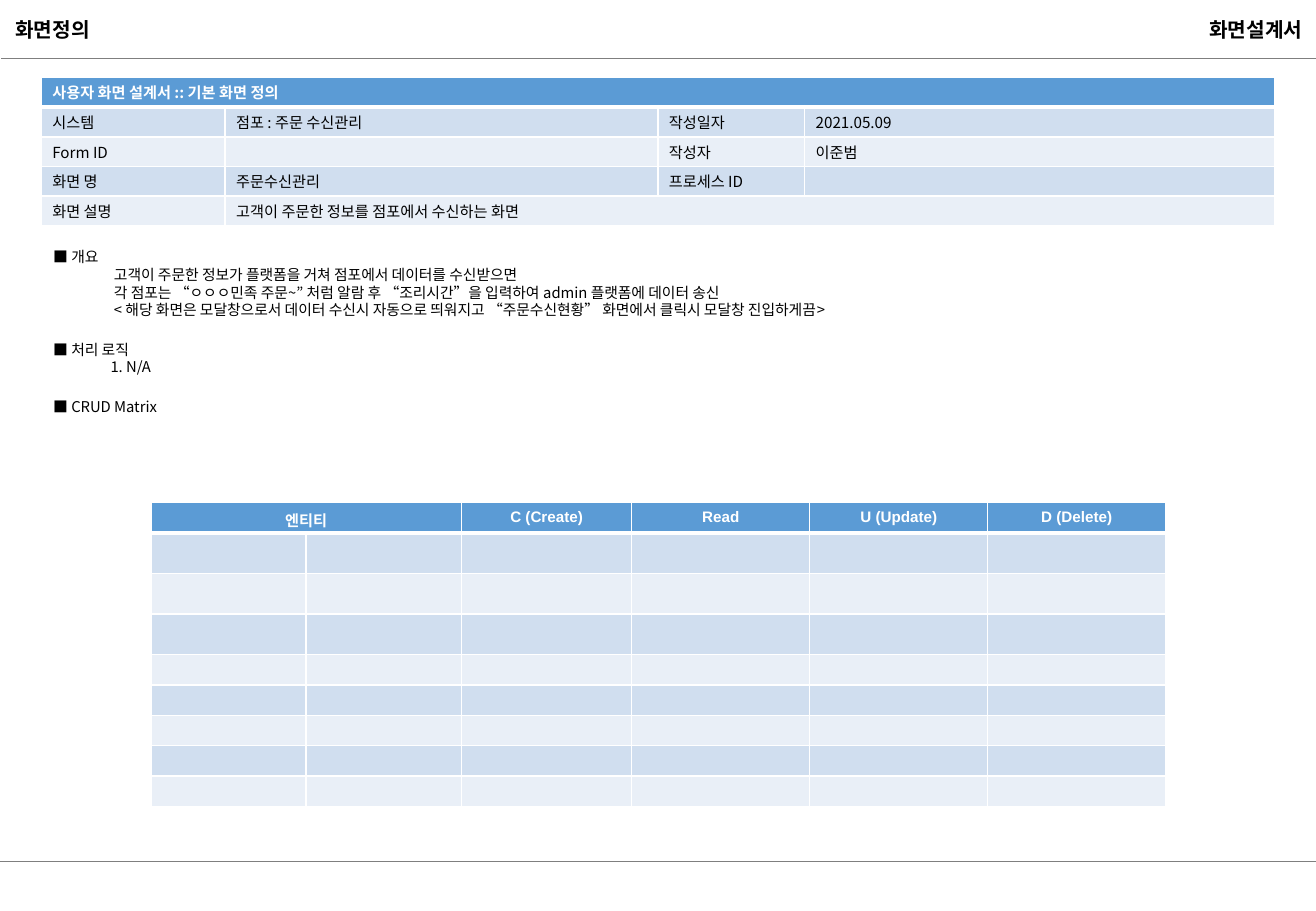
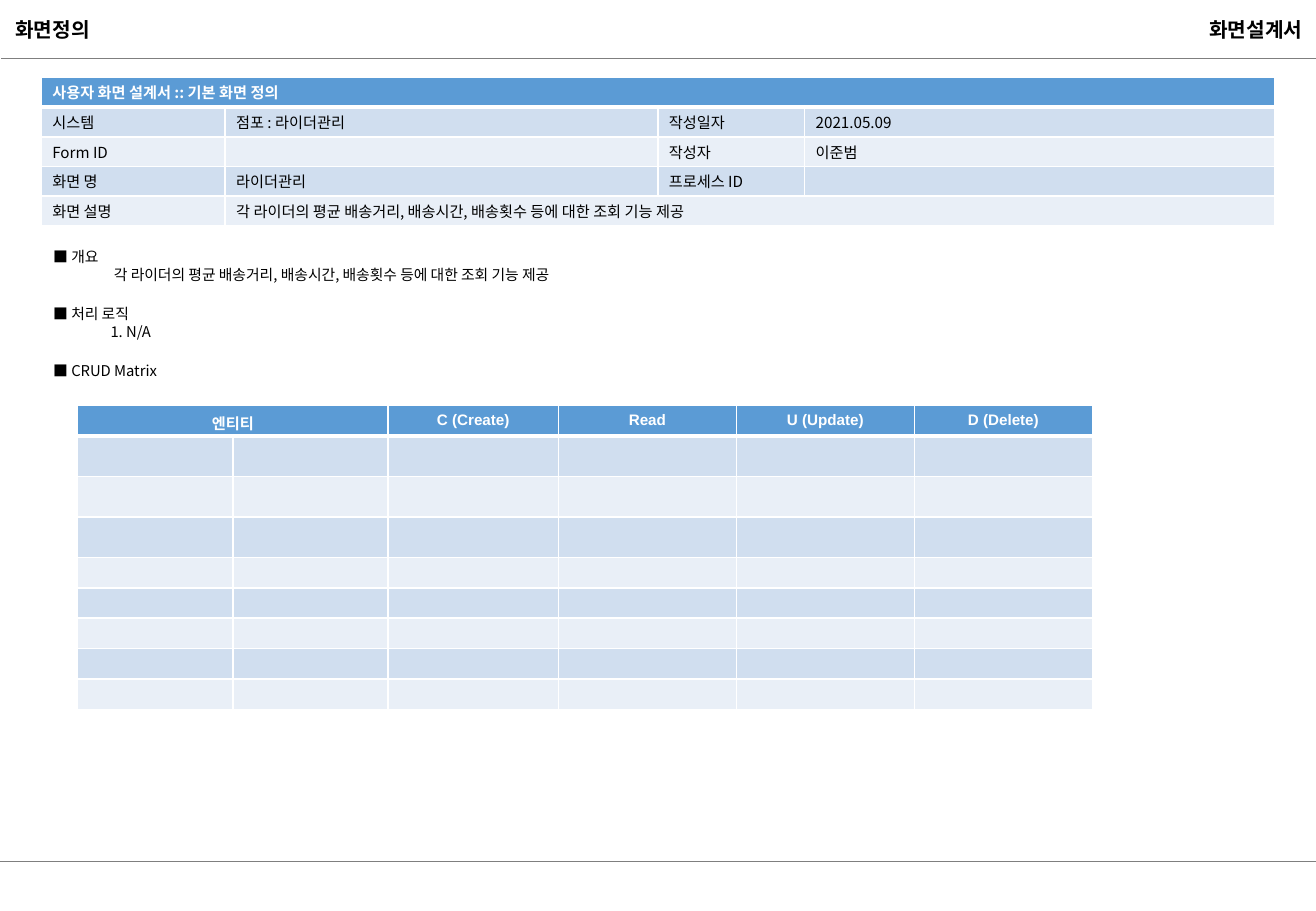
from dataclasses import dataclass
from typing import Optional

from lxml.etree import SubElement
from pptx import Presentation
from pptx.dml.color import RGBColor
from pptx.enum.shapes import MSO_CONNECTOR
from pptx.enum.text import MSO_ANCHOR, PP_ALIGN
from pptx.oxml.ns import qn
from pptx.util import Pt

# Shared look
SLIDE_W, SLIDE_H = 780, 540
BLACK = RGBColor(0x00, 0x00, 0x00)
WHITE = RGBColor(0xFF, 0xFF, 0xFF)
RULE_GRAY = RGBColor(0x7F, 0x7F, 0x7F)
HEADER_BLUE = RGBColor(0x5B, 0x9B, 0xD5)
BANDS = (RGBColor(0xD0, 0xDE, 0xEF), RGBColor(0xE9, 0xEF, 0xF7))
KOREAN, LATIN = "Noto Sans CJK KR", "Arial"

# Table grids
CONTENT_LEFT = 24.5
INFO_TOP, INFO_COLS, INFO_ROWS = 46, (109, 256.5, 87, 278.5), (17.57,) * 5
CRUD_COLS = (92, 92, 101) + (105.5,) * 3
CRUD_ROWS = (18,) + (24,) * 3 + (18,) * 5
CRUD_HEADER = ("엔티티", "", "C (Create)", "Read", "U (Update)", "D (Delete)")
BODY_SIZE, BODY_LINE = 8.8, 12.74


@dataclass(frozen=True)
class Line:
    text: str
    indent: float = 0
    gap: float = 0


@dataclass(frozen=True)
class Screen:
    system: str
    name: str
    description: str
    overview: tuple[str, ...]
    crud_left: float
    crud_top: float


@dataclass(frozen=True)
class TableStyle:
    font: str
    align: PP_ALIGN
    anchor: MSO_ANCHOR
    side: float
    top: float
    bottom: float


INFO_STYLE = TableStyle(KOREAN, PP_ALIGN.LEFT, MSO_ANCHOR.MIDDLE, 6.5, 2.2, 2.2)
CRUD_STYLE = TableStyle(LATIN, PP_ALIGN.CENTER, MSO_ANCHOR.TOP, 7.2, 3.6, 0)

RIDER_SUMMARY = "각 라이더의 평균 배송거리, 배송시간, 배송횟수 등에 대한 조회 기능 제공"
SCREENS = (
    Screen(
        "점포 : 주문 수신관리", "주문수신관리",
        "고객이 주문한 정보를 점포에서 수신하는 화면",
        (
            "고객이 주문한 정보가 플랫폼을 거쳐 점포에서 데이터를 수신받으면",
            "각 점포는 “ㅇㅇㅇ민족 주문~” 처럼 알람 후 “조리시간”을 입력하여 admin 플랫폼에 데이터 송신",
            "< 해당 화면은 모달창으로서 데이터 수신시 자동으로 띄워지고 “주문수신현황” 화면에서 클릭시 모달창 진입하게끔>",
        ),
        89.5, 298,
    ),
    Screen("점포 : 라이더관리", "라이더관리", RIDER_SUMMARY, (RIDER_SUMMARY,), 46, 240.5),
)


def write(paragraph, text: str, *, size: float, font: str = KOREAN,
          color: RGBColor = BLACK, bold: bool = False,
          align: PP_ALIGN = PP_ALIGN.LEFT, indent: float = 0, gap: float = 0) -> None:
    """Put one formatted run in a paragraph; empty text only fixes the line size."""
    paragraph.alignment = align
    if indent:
        paragraph._p.get_or_add_pPr().set("marL", str(Pt(indent)))
    if gap:
        paragraph.space_before = Pt(gap)
    if not text:
        SubElement(paragraph._p, qn("a:endParaRPr"), sz=str(round(size * 100)))
        return
    run = paragraph.add_run()
    run.text = text
    run.font.size, run.font.bold, run.font.name = Pt(size), bold, font
    run.font.color.rgb = color
    SubElement(run._r.get_or_add_rPr(), qn("a:ea"), typeface=KOREAN)


def add_box(slide, left: float, top: float, width: float, height: float):
    frame = slide.shapes.add_textbox(Pt(left), Pt(top), Pt(width), Pt(height)).text_frame
    frame.word_wrap = True
    return frame


def add_rule(slide, left: float, y: float) -> None:
    rule = slide.shapes.add_connector(
        MSO_CONNECTOR.STRAIGHT, Pt(left), Pt(y), Pt(SLIDE_W), Pt(y))
    rule.line.color.rgb, rule.line.width = RULE_GRAY, Pt(0.75)
    SubElement(rule._element.spPr, qn("a:effectLst"))


def add_border(cell, side: str, width: float) -> None:
    line = SubElement(cell._tc.get_or_add_tcPr(), qn(f"a:ln{side}"), w=str(Pt(width)))
    fill = SubElement(line, qn("a:solidFill"))
    SubElement(fill, qn("a:srgbClr"), val=str(WHITE))


def add_grid(slide, left: float, top: float, cols: tuple[float, ...],
             rows: tuple[float, ...], texts: tuple[tuple[str, ...], ...],
             merges: tuple[tuple[int, int, int], ...], style: TableStyle) -> None:
    """Draw a banded table; each merge is (row, first column, last column)."""
    table = slide.shapes.add_table(
        len(rows), len(cols), Pt(left), Pt(top), Pt(sum(cols)), Pt(sum(rows))).table
    for column, width in zip(table.columns, cols):
        column.width = Pt(width)
    for row, height in zip(table.rows, rows):
        row.height = Pt(height)
    for r in range(len(rows)):
        for c in range(len(cols)):
            cell, header = table.cell(r, c), r == 0
            cell.margin_left = cell.margin_right = Pt(style.side)
            cell.margin_top, cell.margin_bottom = Pt(style.top), Pt(style.bottom)
            cell.vertical_anchor = style.anchor
            for side, width in (("L", 1), ("R", 1), ("T", 3 if r == 1 else 1),
                                ("B", 3 if header else 1)):
                add_border(cell, side, width)
            cell.fill.solid()
            cell.fill.fore_color.rgb = HEADER_BLUE if header else BANDS[(r - 1) % 2]
            text = texts[r][c] if r < len(texts) and c < len(texts[r]) else ""
            write(cell.text_frame.paragraphs[0], text, size=9, font=style.font,
                  color=WHITE if header else BLACK, bold=header, align=style.align)
    for r, first, last in merges:
        table.cell(r, first).merge(table.cell(r, last))


def add_page_frame(slide) -> None:
    add_rule(slide, 0, 510.5)
    add_rule(slide, 0.7, 34.5)
    for text, left, width, align in (("화면정의", 2, 63, PP_ALIGN.LEFT),
                                     ("화면설계서", 558, 221, PP_ALIGN.RIGHT)):
        frame = add_box(slide, left, 6.5, width, 21.6)
        frame.vertical_anchor = MSO_ANCHOR.MIDDLE
        write(frame.paragraphs[0], text, size=12, bold=True, align=align)


def add_info_table(slide, screen: Screen) -> None:
    texts = (
        ("사용자 화면 설계서 :: 기본 화면 정의",),
        ("시스템", screen.system, "작성일자", "2021.05.09"),
        ("Form ID", "", "작성자", "이준범"),
        ("화면 명", screen.name, "프로세스 ID", ""),
        ("화면 설명", screen.description),
    )
    add_grid(slide, CONTENT_LEFT, INFO_TOP, INFO_COLS, INFO_ROWS, texts,
             ((0, 0, 3), (4, 1, 3)), INFO_STYLE)


def add_outline(slide, overview: tuple[str, ...]) -> None:
    lines = (
        Line("■ 개요"),
        *(Line(text, indent=36) for text in overview),
        Line("■ 처리 로직", gap=BODY_LINE),
        Line("1. N/A", indent=34),
        Line("■ CRUD Matrix", gap=BODY_LINE),
    )
    frame = add_box(slide, CONTENT_LEFT, 143.3, sum(INFO_COLS), 95)
    previous: Optional[Line] = None
    for line in lines:
        paragraph = frame.add_paragraph() if previous else frame.paragraphs[0]
        write(paragraph, line.text, size=BODY_SIZE, indent=line.indent, gap=line.gap)
        previous = line


def main() -> None:
    deck = Presentation()
    deck.slide_width, deck.slide_height = Pt(SLIDE_W), Pt(SLIDE_H)
    for screen in SCREENS:
        slide = deck.slides.add_slide(deck.slide_layouts[6])
        add_page_frame(slide)
        add_info_table(slide, screen)
        add_outline(slide, screen.overview)
        add_grid(slide, screen.crud_left, screen.crud_top, CRUD_COLS, CRUD_ROWS,
                 (CRUD_HEADER,), ((0, 0, 1),), CRUD_STYLE)
    deck.save("out.pptx")


if __name__ == "__main__":
    main()
